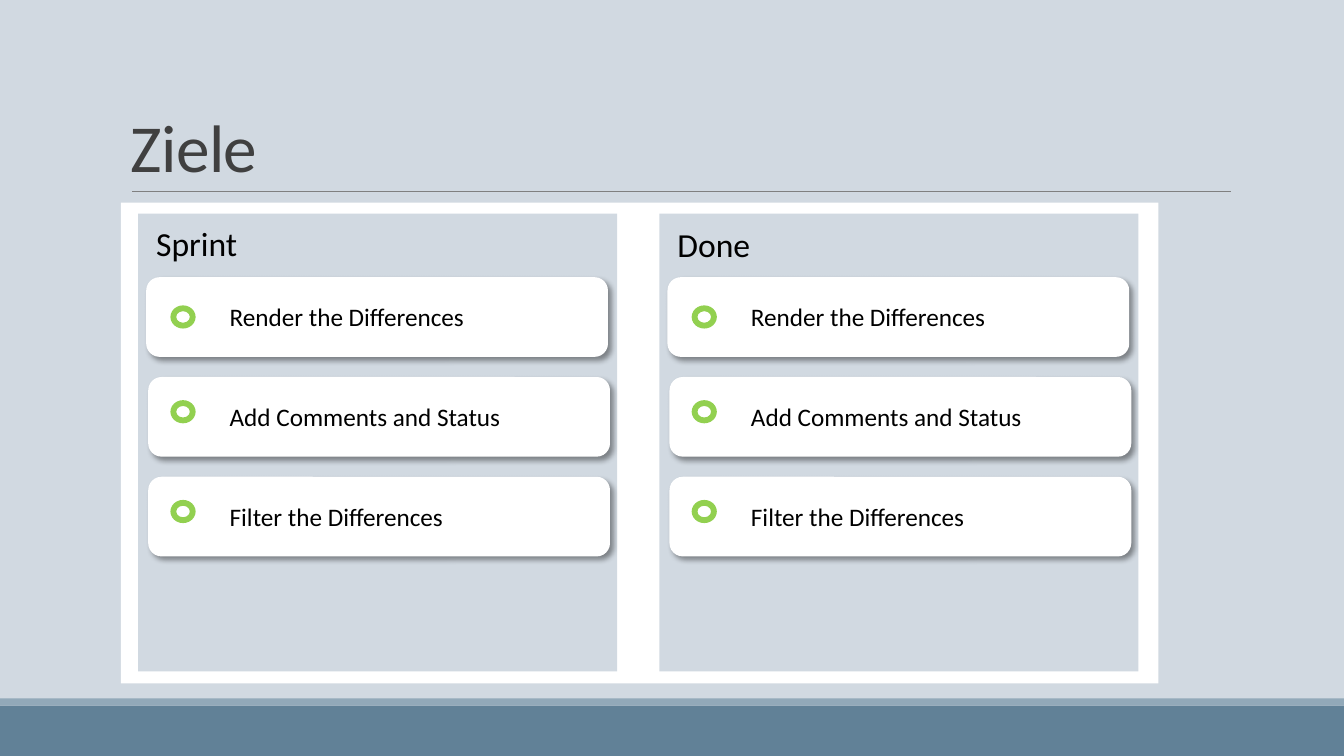
"""Build the goals slide with a Sprint and a Done board column."""
from dataclasses import dataclass

from lxml import etree
from pptx import Presentation
from pptx.dml.color import RGBColor
from pptx.enum.shapes import MSO_CONNECTOR, MSO_SHAPE
from pptx.enum.text import MSO_ANCHOR
from pptx.oxml import parse_xml
from pptx.oxml.ns import nsdecls, qn
from pptx.util import Inches, Pt

RECT = MSO_SHAPE.RECTANGLE
ROUNDED = MSO_SHAPE.ROUNDED_RECTANGLE
DONUT = MSO_SHAPE.DONUT
STRAIGHT = MSO_CONNECTOR.STRAIGHT
TOP, BOTTOM = MSO_ANCHOR.TOP, MSO_ANCHOR.BOTTOM

PALE = RGBColor(0xD1, 0xD9, 0xE1)
STEEL = RGBColor(0x61, 0x81, 0x97)
LIGHT_STEEL = RGBColor(0x92, 0xA9, 0xB9)
RULE_GRAY = RGBColor(0x80, 0x80, 0x80)
TITLE_GRAY = RGBColor(0x40, 0x40, 0x40)
WHITE = RGBColor(0xFF, 0xFF, 0xFF)
BLACK = RGBColor(0, 0, 0)
GREEN = RGBColor(0x92, 0xD0, 0x50)

FONT = "Calibri"
CARD_TOP, CARD_PITCH = 2.75, 0.99
CARD_WIDTH, CARD_HEIGHT = 4.58, 0.79


@dataclass(frozen=True)
class Column:
    heading: str
    left: float
    heading_top: float


@dataclass(frozen=True)
class Task:
    text: str
    card_inset: float
    ring_top: float


COLUMNS = (Column("Sprint", 1.37, 2.16), Column("Done", 6.54, 2.17))
TASKS = (
    Task("Render the Differences", 0.08, 3.03),
    Task("Add Comments and Status", 0.1, 3.97),
    Task("Filter the Differences", 0.1, 4.96),
)


def add_filled(slide, kind, left: float, top: float, width: float, height: float, color: RGBColor):
    sp = slide.shapes.add_shape(kind, Inches(left), Inches(top), Inches(width), Inches(height))
    sp.shadow.inherit = False
    sp.fill.solid()
    sp.fill.fore_color.rgb = color
    sp.line.fill.background()
    return sp


def add_text(slide, text: str, left: float, top: float, width: float, height: float,
             size: int, color: RGBColor = BLACK, anchor=TOP):
    sp = slide.shapes.add_textbox(Inches(left), Inches(top), Inches(width), Inches(height))
    tf = sp.text_frame
    tf.word_wrap = True
    tf.vertical_anchor = anchor
    p = tf.paragraphs[0]
    r = p.add_run()
    r.text = text
    r.font.name = FONT
    r.font.size = Pt(size)
    r.font.color.rgb = color
    return p


def add_title(slide, text: str) -> None:
    p = add_text(slide, text, 1.2, 0.31, 11, 1.59, 48, TITLE_GRAY, BOTTOM)
    p.line_spacing = 0.85
    p.runs[0].font._element.set("spc", "-50")


def add_rule(slide) -> None:
    line = slide.shapes.add_connector(STRAIGHT, Inches(1.31), Inches(1.9), Inches(12.21), Inches(1.9))
    line.line.color.rgb = RULE_GRAY
    line.line.width = Pt(0.5)
    etree.SubElement(line._element.spPr, qn("a:effectLst"))


def add_card(slide, left: float, top: float) -> None:
    sp = add_filled(slide, ROUNDED, left, top, CARD_WIDTH, CARD_HEIGHT, WHITE)
    sp._element.spPr.find(qn("a:effectLst")).append(parse_xml(
        f'<a:outerShdw {nsdecls("a")} blurRad="{Pt(4)}" dist="{Pt(3)}" dir="2700000" '
        'algn="tl" rotWithShape="0"><a:srgbClr val="000000"><a:alpha val="40000"/>'
        '</a:srgbClr></a:outerShdw>'))


def add_column(slide, column: Column) -> None:
    left = column.left
    add_filled(slide, RECT, left, 2.12, 4.75, 4.54, PALE)
    add_text(slide, column.heading, left + 0.08, column.heading_top, CARD_WIDTH, 0.5, 24)
    for i, task in enumerate(TASKS):
        top = CARD_TOP + i * CARD_PITCH
        add_card(slide, left + task.card_inset, top)
        add_filled(slide, DONUT, left + 0.32, task.ring_top, 0.25, 0.23, GREEN)
        add_text(slide, task.text, left + 0.81, top + 0.19, 3.74, 0.4, 18)


def main() -> None:
    prs = Presentation()
    prs.slide_width, prs.slide_height = Inches(13.33), Inches(7.5)
    slide = prs.slides.add_slide(prs.slide_layouts[6])
    slide.background.fill.solid()
    slide.background.fill.fore_color.rgb = PALE
    add_filled(slide, RECT, 0, 7, 13.33, 0.5, STEEL)
    add_filled(slide, RECT, 0, 6.93, 13.33, 0.07, LIGHT_STEEL)
    add_rule(slide)
    add_title(slide, "Ziele")
    add_filled(slide, RECT, 1.2, 2.01, 10.29, 4.77, WHITE)
    for column in COLUMNS:
        add_column(slide, column)
    prs.save("out.pptx")


if __name__ == "__main__":
    main()
